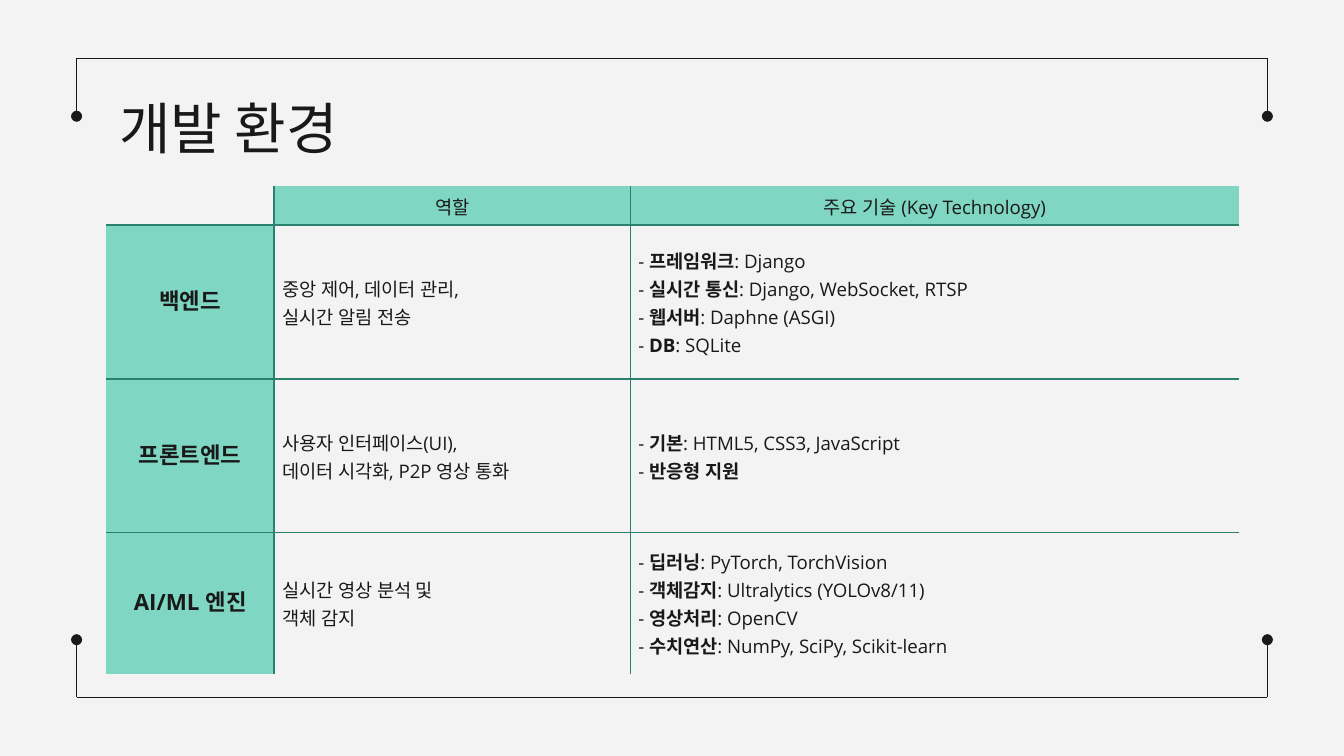
from lxml.etree import SubElement
from pptx import Presentation
from pptx.dml.color import RGBColor
from pptx.enum.shapes import MSO_CONNECTOR
from pptx.enum.text import MSO_ANCHOR, PP_ALIGN
from pptx.oxml.ns import qn
from pptx.util import Pt

PX = 4572  # 200 px to the inch
INK = RGBColor(0x19, 0x19, 0x19)
PAPER = RGBColor(0xF3, 0xF3, 0xF3)
MINT = RGBColor(0x7F, 0xD6, 0xC3)
GREEN = RGBColor(0x29, 0x81, 0x6E)
BODY_FONT = "Open Sans"
TITLE_FONT = "Noto Sans CJK KR"


def format_run(run, size, bold=False, font_name=BODY_FONT):
    run.font.size = Pt(size)
    run.font.bold = bold
    run.font.color.rgb = INK
    run.font.name = font_name
    SubElement(run.font._element, qn("a:ea"), typeface=font_name)


def add_border(cell, side, visible):
    properties = cell._tc.get_or_add_tcPr()
    line = SubElement(properties, qn("a:ln" + side), w=str(Pt(1)))
    if visible:
        fill = SubElement(line, qn("a:solidFill"))
        SubElement(fill, qn("a:srgbClr"), val=str(GREEN))
    else:
        SubElement(line, qn("a:noFill"))


presentation = Presentation()
presentation.slide_width = 2000 * PX
presentation.slide_height = 1125 * PX
slide = presentation.slides.add_slide(presentation.slide_layouts[6])
slide.background.fill.solid()
slide.background.fill.fore_color.rgb = PAPER

# Frame: two long edges, and four short sides that end in a dot
LEFT, RIGHT, TOP, BOTTOM, SIDE = 114, 1886, 87, 1038, 86
frame_lines = []
for edge, direction in ((TOP, 1), (BOTTOM, -1)):
    frame_lines.append((LEFT, edge, RIGHT, edge, False))
    for x in (LEFT, RIGHT):
        frame_lines.append((x, edge, x, edge + direction * SIDE, True))

for x1, y1, x2, y2, dotted in frame_lines:
    connector = slide.shapes.add_connector(
        MSO_CONNECTOR.STRAIGHT, x1 * PX, y1 * PX, x2 * PX, y2 * PX)
    connector.line.color.rgb = INK
    connector.line.width = Pt(0.75)
    if dotted:
        SubElement(connector.line._get_or_add_ln(), qn("a:tailEnd"),
                   type="oval", w="med", len="med")
    SubElement(connector._element.spPr, qn("a:effectLst"))

# Title
title = slide.shapes.add_textbox(158 * PX, 118 * PX, 1686 * PX, 126 * PX)
text_frame = title.text_frame
text_frame.word_wrap = True
text_frame.vertical_anchor = MSO_ANCHOR.MIDDLE
text_frame.margin_left = text_frame.margin_right = 20 * PX
text_frame.margin_top = 36 * PX
text_frame.margin_bottom = 20 * PX
text_frame.text = "개발 환경"
format_run(text_frame.paragraphs[0].runs[0], 30, font_name=TITLE_FONT)

# Table content: each cell is a list of lines, ** marks bold parts
ROWS = [
    [[""], ["역할"], ["주요 기술 (Key Technology)"]],
    [["**백엔드**"],
     ["중앙 제어, 데이터 관리,", "실시간 알림 전송"],
     ["- **프레임워크**: Django",
      "- **실시간 통신**: Django, WebSocket, RTSP",
      "- **웹서버**: Daphne (ASGI)",
      "- **DB**: SQLite"]],
    [["**프론트엔드**"],
     ["사용자 인터페이스(UI),", "데이터 시각화, P2P 영상 통화"],
     ["- **기본**: HTML5, CSS3, JavaScript",
      "- **반응형 지원**"]],
    [["**AI/ML 엔진**"],
     ["실시간 영상 분석 및", "객체 감지"],
     ["- **딥러닝**: PyTorch, TorchVision",
      "- **객체감지**: Ultralytics (YOLOv8/11)",
      "- **영상처리**: OpenCV",
      "- **수치연산**: NumPy, SciPy, Scikit-learn"]],
]
COLUMN_WIDTHS = [250, 530, 906]
ROW_HEIGHTS = [57, 229, 229, 210]

# Table grid
table = slide.shapes.add_table(
    len(ROW_HEIGHTS), len(COLUMN_WIDTHS), 158 * PX, 277 * PX,
    sum(COLUMN_WIDTHS) * PX, sum(ROW_HEIGHTS) * PX).table
table.first_row = False
table.horz_banding = False
for column, width in zip(table.columns, COLUMN_WIDTHS):
    column.width = width * PX
for row, height in zip(table.rows, ROW_HEIGHTS):
    row.height = height * PX

# Table cells: borders on inner edges only, mint headings
last_row, last_column = len(ROW_HEIGHTS) - 1, len(COLUMN_WIDTHS) - 1
for row_index, row_content in enumerate(ROWS):
    for column_index, lines in enumerate(row_content):
        cell = table.cell(row_index, column_index)
        add_border(cell, "L", column_index > 0)
        add_border(cell, "R", column_index < last_column)
        add_border(cell, "T", row_index > 0)
        add_border(cell, "B", row_index < last_row)

        is_heading = row_index == 0 or column_index == 0
        if is_heading and lines[0]:
            cell.fill.solid()
            cell.fill.fore_color.rgb = MINT
        else:
            cell.fill.background()

        cell.margin_left = cell.margin_right = 12 * PX
        cell.margin_top = cell.margin_bottom = 8 * PX
        cell.vertical_anchor = MSO_ANCHOR.TOP if row_index == 0 else MSO_ANCHOR.MIDDLE
        for line_index, line in enumerate(lines):
            if line_index == 0:
                paragraph = cell.text_frame.paragraphs[0]
            else:
                paragraph = cell.text_frame.add_paragraph()
            paragraph.line_spacing = Pt(15)
            paragraph.alignment = PP_ALIGN.CENTER if is_heading else PP_ALIGN.LEFT
            for part_index, part in enumerate(line.split("**")):
                if part:
                    run = paragraph.add_run()
                    run.text = part
                    format_run(run, 12 if column_index == 0 else 10,
                               bold=part_index % 2 == 1)
            if not line:
                SubElement(paragraph._p, qn("a:endParaRPr"), sz="1000")

presentation.save("out.pptx")
